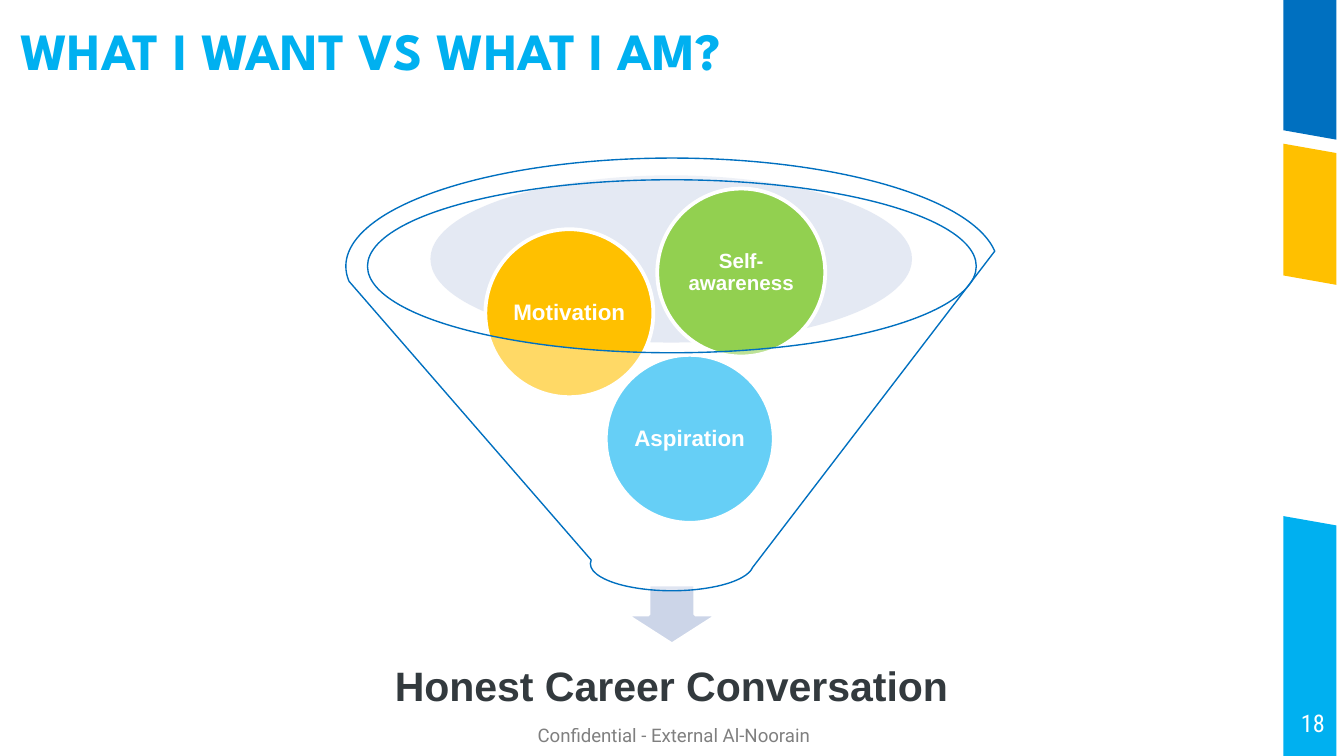
from lxml import etree
from pptx import Presentation
from pptx.dml.color import RGBColor
from pptx.enum import shapes, text
from pptx.oxml import ns
from pptx.util import Pt

BLUE = RGBColor(0x00, 0x70, 0xC0)
CYAN = RGBColor(0x00, 0xB0, 0xF0)
AMBER = RGBColor(0xFF, 0xC0, 0x00)
GREEN = RGBColor(0x92, 0xD0, 0x50)
PALE = RGBColor(0xBD, 0xC9, 0xE2)
ARROW = RGBColor(0xCC, 0xD5, 0xE8)
DARK = RGBColor(0x33, 0x3A, 0x3E)
WHITE = RGBColor(0xFF, 0xFF, 0xFF)
BLACK = RGBColor(0x00, 0x00, 0x00)

WIDTH, HEIGHT = 720, 405
BAND_LEFT, BAND_RIGHT, SLANT = 687.6, 715.9, 5
BALL = 90
SHAPE, ANCHOR, ALIGN = shapes.MSO_SHAPE, text.MSO_ANCHOR, text.PP_ALIGN

BANDS = [
    (CYAN, 276.5, 276.5 + SLANT, HEIGHT, HEIGHT),
    (AMBER, 77, 77 + SLANT, 147.6, 147.6 + SLANT),
    (BLUE, 0, 0, 69.8, 69.8 + SLANT),
]
FOOTER = ("Confidential - External Al-Noorain", (288, 388, 165, 12.2),
          "Roboto", 10, BLACK, False, ALIGN.LEFT, ANCHOR.TOP, 1)
LABELS = [
    ("18", (689.3, 369.4, 28, 36),
     "Roboto Condensed", 13, WHITE, False, ALIGN.CENTER, ANCHOR.MIDDLE, 1),
    ("WHAT I WANT VS WHAT I AM?", (10.8, -2.9, 580, 46.8),
     "League Spartan", 28, CYAN, True, ALIGN.LEFT, ANCHOR.BOTTOM, 0.9),
    ("Honest Career Conversation", (195.3, 338.7, 329, 59.8),
     "Arial", 22, DARK, True, ALIGN.CENTER, ANCHOR.MIDDLE, 0.9),
]
BALLS = [
    ("Aspiration", 324.5, 190.1, CYAN, 12),
    ("Motivation", 260, 122.8, AMBER, 12),
    ("Self-awareness", 352.1, 101, GREEN, 11),
]


def set_alpha(element, percent):
    color = element.find(".//" + ns.qn("a:srgbClr"))
    etree.SubElement(color, ns.qn("a:alpha")).set("val", str(percent * 1000))


def write(s, words, font, size, color, bold, align, anchor, spacing, inset=0):
    tf = s.text_frame
    tf.text = words
    tf.word_wrap = True
    tf.vertical_anchor = anchor
    tf.margin_left = tf.margin_right = Pt(inset)
    tf.margin_top = tf.margin_bottom = Pt(inset)
    p = tf.paragraphs[0]
    p.alignment = align
    p.line_spacing = spacing
    r = p.runs[0]
    r.font.name = font
    r.font.size = Pt(size)
    r.font.bold = bold
    r.font.color.rgb = color
    return r


def add_label(sp, words, box, *style):
    return write(sp.add_textbox(*map(Pt, box)), words, *style)


def paint(s, fill, line=None, weight=0):
    s.shadow.inherit = False
    s.fill.solid()
    s.fill.fore_color.rgb = fill
    if line is None:
        s.line.fill.background()
    else:
        s.line.color.rgb = line
        s.line.width = Pt(weight)
    return s


def add_preset(sp, kind, box, fill, line=None, weight=0):
    return paint(sp.add_shape(kind, *map(Pt, box)), fill, line, weight)


def add_band(sp, color, left_top, right_top, left_bottom, right_bottom):
    outline = sp.build_freeform(Pt(BAND_LEFT), Pt(left_top))
    corners = [(BAND_RIGHT, right_top), (BAND_RIGHT, right_bottom),
               (BAND_LEFT, left_bottom)]
    outline.add_line_segments([(Pt(x), Pt(y)) for x, y in corners])
    paint(outline.convert_to_shape(), color)


def main():
    prs = Presentation()
    prs.slide_width, prs.slide_height = Pt(WIDTH), Pt(HEIGHT)
    sp = prs.slides.add_slide(prs.slide_layouts[6]).shapes

    footer_run = add_label(sp, *FOOTER)
    set_alpha(footer_run.font._element, 50)
    for band in BANDS:
        add_band(sp, *band)
    for label in LABELS:
        add_label(sp, *label)

    rim = add_preset(sp, SHAPE.OVAL, (230.6, 93.9, 258, 89.6), PALE)
    set_alpha(rim._element.spPr, 40)
    add_preset(sp, SHAPE.DOWN_ARROW, (335, 313.2, 50, 32), ARROW, WHITE, 2)
    for words, left, top, color, size in BALLS:
        ball = add_preset(sp, SHAPE.OVAL, (left, top, BALL, BALL), color, WHITE, 2)
        write(ball, words, "Arial", size, WHITE, True,
              ALIGN.CENTER, ANCHOR.MIDDLE, 0.9, 1.2)
    funnel = add_preset(sp, SHAPE.FUNNEL, (185.3, 84.7, 349.3, 231.8), WHITE, BLUE, 0.75)
    set_alpha(funnel._element.spPr, 40)

    prs.save("out.pptx")


if __name__ == "__main__":
    main()
